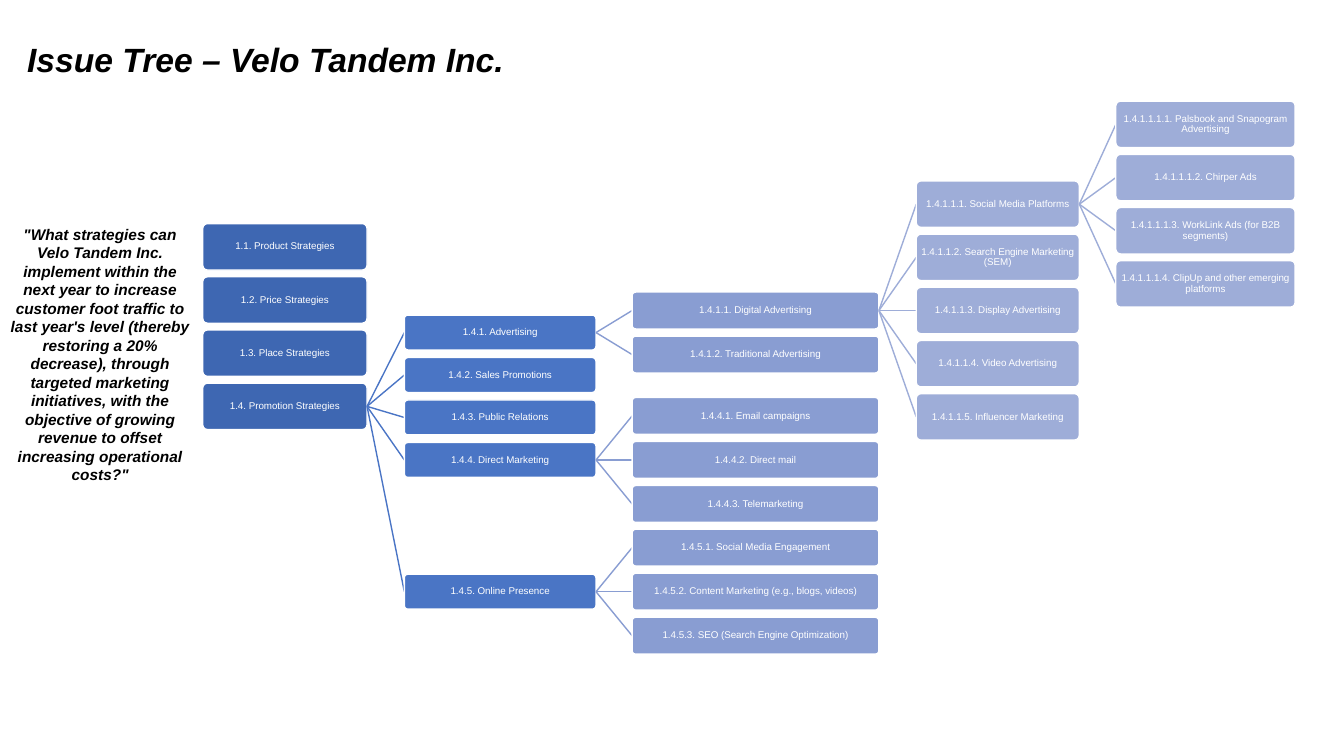
"""Build the issue tree slide for a bicycle retailer's foot traffic question."""
from collections import namedtuple

from pptx import Presentation
from pptx.dml.color import RGBColor
from pptx.enum import shapes, text
from pptx.oxml.ns import qn
from pptx.util import Cm, Pt
from lxml import etree

BLACK = RGBColor(0x00, 0x00, 0x00)
WHITE = RGBColor(0xFF, 0xFF, 0xFF)
DEEP_BLUE = RGBColor(0x3E, 0x67, 0xB2)
BLUE = RGBColor(0x4A, 0x75, 0xC5)
SOFT_BLUE = RGBColor(0x89, 0x9D, 0xD2)
PALE_BLUE = RGBColor(0x9E, 0xAD, 0xD8)

Level = namedtuple("Level", "left width height pitch shift colour")
LEVELS = [
    Level(5.11, 4.14, 1.17, 1.34, 0, DEEP_BLUE),
    Level(10.19, 4.83, 0.88, 1.07, 0.28, BLUE),
    Level(15.93, 6.22, 0.93, 1.11, 0, SOFT_BLUE),
    Level(23.09, 4.11, 1.17, 1.34, 0, PALE_BLUE),
    Level(28.12, 4.52, 1.17, 1.34, 0, PALE_BLUE),
]
TREE_MIDDLE = 8.23
EXTRA_DROP = {"Online Presence": 2.25}

COMPANY = "Velo Tandem Inc."
QUESTION = (
    f'"What strategies can {COMPANY} implement within the next year to increase '
    "customer foot traffic to last year's level (thereby restoring a 20% decrease), "
    "through targeted marketing initiatives, with the objective of growing revenue "
    'to offset increasing operational costs?"'
)
STRATEGIES = {
    "Product Strategies": {},
    "Price Strategies": {},
    "Place Strategies": {},
    "Promotion Strategies": {
        "Advertising": {
            "Digital Advertising": {
                "Social Media Platforms": {
                    "Palsbook and Snapogram Advertising": {},
                    "Chirper Ads": {},
                    "WorkLink Ads (for B2B segments)": {},
                    "ClipUp and other emerging platforms": {},
                },
                "Search Engine Marketing (SEM)": {},
                "Display Advertising": {},
                "Video Advertising": {},
                "Influencer Marketing": {},
            },
            "Traditional Advertising": {},
        },
        "Sales Promotions": {},
        "Public Relations": {},
        "Direct Marketing": {
            "Email campaigns": {},
            "Direct mail": {},
            "Telemarketing": {},
        },
        "Online Presence": {
            "Social Media Engagement": {},
            "Content Marketing (e.g., blogs, videos)": {},
            "SEO (Search Engine Optimization)": {},
        },
    },
}


class IssueTree:
    """Holds the style and the current slide of the issue tree."""

    font = "Arial"
    box_size = Pt(7)
    line_width = Pt(1)

    def __init__(self, deck):
        self.slide = deck.slides.add_slide(deck.slide_layouts[5])

    def label(self, frame, wording, size, colour, align, emphasis=False):
        """Fill a text frame with one formatted paragraph."""
        frame.text = wording
        frame.word_wrap = True
        paragraph = frame.paragraphs[0]
        paragraph.alignment = align
        font = paragraph.runs[0].font
        font.name, font.size, font.color.rgb = self.font, size, colour
        font.bold = font.italic = emphasis
        return paragraph

    def heading(self, wording, left, top, width, height):
        """Place and format the title."""
        title = self.slide.shapes.title
        title.left, title.top = Cm(left), Cm(top)
        title.width, title.height = Cm(width), Cm(height)
        frame = title.text_frame
        self.label(frame, wording, Pt(24), BLACK, text.PP_ALIGN.LEFT, True)
        frame.vertical_anchor = text.MSO_ANCHOR.TOP
        frame.auto_size = text.MSO_AUTO_SIZE.NONE

    def question(self, wording, left, top, width, height):
        """Add the key question beside the tree."""
        note = self.slide.shapes.add_textbox(Cm(left), Cm(top), Cm(width), Cm(height))
        self.label(note.text_frame, wording, Pt(11), BLACK, text.PP_ALIGN.CENTER, True)

    def box(self, wording, level, middle):
        """Add one rounded box centred on a height."""
        issue = self.slide.shapes.add_shape(
            shapes.MSO_SHAPE.ROUNDED_RECTANGLE, Cm(level.left),
            Cm(middle - level.height / 2), Cm(level.width), Cm(level.height))
        issue.adjustments[0] = 0.1
        issue.shadow.inherit = False
        issue.fill.solid()
        issue.fill.fore_color.rgb = level.colour
        issue.line.color.rgb = WHITE
        issue.line.width = self.line_width
        frame = issue.text_frame
        frame.margin_left = frame.margin_right = Cm(0.03)
        frame.margin_top = frame.margin_bottom = Cm(0.03)
        frame.vertical_anchor = text.MSO_ANCHOR.MIDDLE
        paragraph = self.label(
            frame, wording, self.box_size, WHITE, text.PP_ALIGN.CENTER)
        paragraph.line_spacing = 0.9

    def link(self, parent, parent_middle, child, child_middle):
        """Join a parent's right edge to a child's left edge."""
        branch = self.slide.shapes.add_connector(
            shapes.MSO_CONNECTOR.STRAIGHT, Cm(parent.left + parent.width),
            Cm(parent_middle), Cm(child.left), Cm(child_middle))
        branch.line.color.rgb = child.colour
        branch.line.width = self.line_width
        etree.SubElement(branch.element.spPr, qn("a:effectLst"))

    def grow(self, issues, parent_middle, number="1", depth=0):
        """Draw numbered issues around their parent's height, then their children."""
        level = LEVELS[depth]
        start = parent_middle + level.shift - (len(issues) - 1) / 2 * level.pitch
        for index, (issue, children) in enumerate(issues.items()):
            middle = start + index * level.pitch + EXTRA_DROP.get(issue, 0)
            if depth:
                self.link(LEVELS[depth - 1], parent_middle, level, middle)
            issue_number = f"{number}.{index + 1}"
            self.box(f"{issue_number}. {issue}", level, middle)
            if children:
                self.grow(children, middle, issue_number, depth + 1)


deck = Presentation()
deck.slide_width, deck.slide_height = Cm(33.87), Cm(19.05)
tree = IssueTree(deck)
tree.heading(f"Issue Tree – {COMPANY}", 0.43, 0.86, 16.51, 1.28)
tree.grow(STRATEGIES, TREE_MIDDLE)
tree.question(QUESTION, 0, 5.54, 5.05, 7.32)
deck.save("out.pptx")
